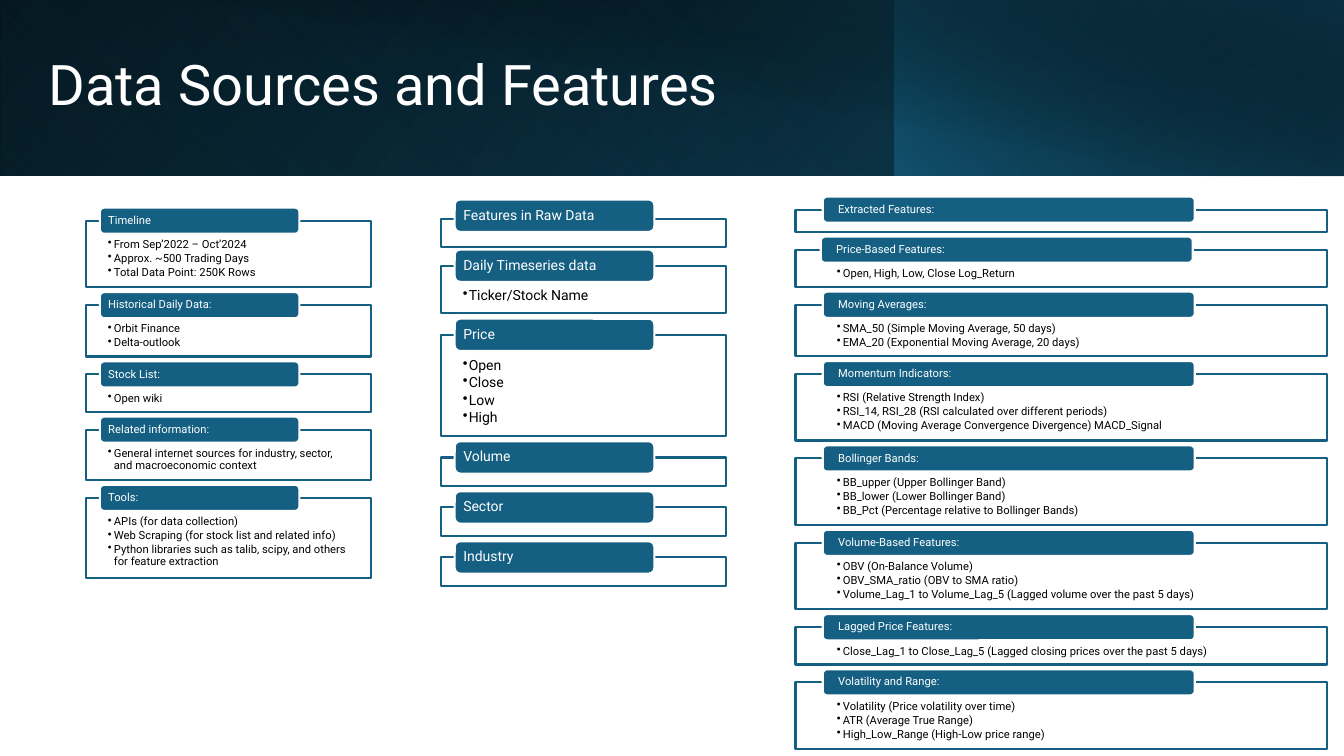
"""Build the slide on data sources and features."""
from dataclasses import dataclass

from lxml import etree
from pptx import Presentation
from pptx.dml.color import RGBColor
from pptx.enum.shapes import MSO_SHAPE
from pptx.enum.text import MSO_ANCHOR, MSO_AUTO_SIZE, PP_ALIGN
from pptx.oxml import parse_xml
from pptx.oxml.ns import nsdecls, qn
from pptx.util import Pt

RECT, ROUNDED = MSO_SHAPE.RECTANGLE, MSO_SHAPE.ROUNDED_RECTANGLE
TOP, MIDDLE = MSO_ANCHOR.TOP, MSO_ANCHOR.MIDDLE
LEFT = PP_ALIGN.LEFT
NO_FIT = MSO_AUTO_SIZE.NONE
EMU_PER_PX = 9144
FONT = "Roboto"
WHITE = RGBColor(0xFF, 0xFF, 0xFF)
BLACK = RGBColor(0x00, 0x00, 0x00)
TEAL = RGBColor(0x15, 0x60, 0x82)
NAVY = RGBColor(0x0B, 0x30, 0x41)
OCEAN = RGBColor(0x10, 0x48, 0x62)


@dataclass(frozen=True)
class Stop:
    """A gradient stop, with position and opacity in percent."""
    position: int
    color: RGBColor
    opacity: int = 100


@dataclass(frozen=True)
class Band:
    """A gradient layer of the header."""
    left: int
    width: int
    height: int
    angle: int
    stops: tuple[Stop, ...]
    flipped: bool = True
    rotation: int = 0


@dataclass(frozen=True)
class Card:
    """A label on a framed list, with small shifts from the column's grid."""
    label: str
    height: int
    items: tuple[str, ...] = ()
    frame_drop: int = 0
    label_shift: int = 0


@dataclass(frozen=True)
class Column:
    """A stack of cards spread evenly between top and bottom."""
    left: int
    width: int
    top: int
    bottom: int
    size: int
    label_left: int
    label_width: int
    label_height: int
    label_inset: int
    list_inset: int
    list_top: int
    list_bottom: int
    cards: tuple[Card, ...]


BANDS = (
    Band(0, 1333, 174, 140, (Stop(0, BLACK), Stop(100, OCEAN))),
    Band(0, 888, 174, 230, (Stop(20, TEAL, 0), Stop(100, NAVY, 55)), rotation=180),
    Band(887, 446, 174, 220, (Stop(0, TEAL, 66), Stop(100, BLACK, 30))),
    Band(50, 1283, 175, 280, (Stop(50, BLACK, 0), Stop(99, NAVY, 52)), flipped=False),
)

COLUMNS = (
    Column(437, 283, 214, 581, 10, 451, 198, 32, 7, 22, 23, 8, (
        Card("Features in Raw Data", 28, frame_drop=3),
        Card("Daily Timeseries data", 47, ("Ticker/Stock Name",)),
        Card("Price", 100, ("Open", "Close", "Low", "High")),
        Card("Volume", 28),
        Card("Sector", 28),
        Card("Industry", 28),
    )),
    Column(789, 527, 208, 743, 8, 816, 369, 26, 14, 41, 18, 6, (
        Card("Extracted Features:", 22),
        Card("Price-Based Features:", 37, ("Open, High, Low, Close Log_Return",),
             label_shift=-2),
        Card("Moving Averages:", 51, (
            "SMA_50 (Simple Moving Average, 50 days)",
            "EMA_20 (Exponential Moving Average, 20 days)")),
        Card("Momentum Indicators:", 66, (
            "RSI (Relative Strength Index)",
            "RSI_14, RSI_28 (RSI calculated over different periods)",
            "MACD (Moving Average Convergence Divergence) MACD_Signal")),
        Card("Bollinger Bands:", 66, (
            "BB_upper (Upper Bollinger Band)",
            "BB_lower (Lower Bollinger Band)",
            "BB_Pct (Percentage relative to Bollinger Bands)")),
        Card("Volume-Based Features:", 66, (
            "OBV (On-Balance Volume)",
            "OBV_SMA_ratio (OBV to SMA ratio)",
            "Volume_Lag_1 to Volume_Lag_5 (Lagged volume over the past 5 days)")),
        Card("Lagged Price Features:", 37, (
            "Close_Lag_1 to Close_Lag_5 (Lagged closing prices over the past 5 days)",)),
        Card("Volatility and Range:", 66, (
            "Volatility (Price volatility over time)",
            "ATR (Average True Range)",
            "High_Low_Range (High-Low price range)")),
    )),
    Column(85, 283, 219, 573, 8, 99, 198, 26, 7, 22, 18, 6, (
        Card("Timeline", 66, (
            "From Sep’2022 – Oct’2024",
            "Approx. ~500 Trading Days",
            "Total Data Point: 250K Rows")),
        Card("Historical Daily Data:", 51, ("Orbit Finance", "Delta-outlook")),
        Card("Stock List:", 37, ("Open wiki",)),
        Card("Related information:", 50, (
            "General internet sources for industry, sector, and macroeconomic context",)),
        Card("Tools:", 79, (
            "APIs (for data collection)",
            "Web Scraping (for stock list and related info)",
            "Python libraries such as talib, scipy, and others for feature extraction")),
    )),
)


def px(length: float) -> int:
    """Turn px into EMU."""
    return round(length * EMU_PER_PX)


def apply(target, values: dict) -> None:
    """Set each attribute of the target from a dict."""
    for name, value in values.items():
        setattr(target, name, value)


def add_box(page, kind, left: float, top: float, width: float, height: float):
    """Add a preset shape without a shadow."""
    box = page.shapes.add_shape(kind, px(left), px(top), px(width), px(height))
    box.shadow.inherit = False
    return box


def paint(box, fill: RGBColor, line: RGBColor) -> None:
    """Give a box a solid fill and a 1.5 pt line."""
    box.fill.solid()
    box.fill.fore_color.rgb = fill
    box.line.color.rgb = line
    box.line.width = Pt(1.5)


def write(box, lines: tuple[str, ...], size: int, color: RGBColor, bulleted: bool = False) -> None:
    """Write one paragraph per line of text."""
    frame = box.text_frame
    for index, text in enumerate(lines):
        para = frame.paragraphs[0] if index == 0 else frame.add_paragraph()
        apply(para, {"alignment": LEFT, "line_spacing": 0.9})
        if bulleted:
            apply(para, {"level": 1, "space_after": Pt(size * 0.17)})
            properties = para._p.get_or_add_pPr()
            apply_indent = {"marL": px(6), "indent": -px(6)}
            for name, value in apply_indent.items():
                properties.set(name, str(value))
            etree.SubElement(properties, qn("a:buChar")).set("char", "•")
        span = para.add_run()
        span.text = text
        apply(span.font, {"name": FONT, "size": Pt(size)})
        span.font.color.rgb = color


def draw_band(page, band: Band) -> None:
    """Draw one gradient layer of the header."""
    box = add_box(page, RECT, band.left, 0, band.width, band.height)
    box.rotation = band.rotation
    box.line.fill.background()
    box.fill.background()
    properties = box._element.spPr
    if band.flipped:
        properties.find(qn("a:xfrm")).set("flipH", "1")
    stops = "".join(
        f'<a:gs pos="{stop.position * 1000}"><a:srgbClr val="{stop.color}">'
        f'<a:alpha val="{stop.opacity * 1000}"/></a:srgbClr></a:gs>' for stop in band.stops)
    gradient = parse_xml(
        f'<a:gradFill {nsdecls("a")} rotWithShape="1"><a:gsLst>{stops}</a:gsLst>'
        f'<a:lin ang="{band.angle * 60000}" scaled="0"/></a:gradFill>')
    properties.replace(properties.find(qn("a:noFill")), gradient)


def draw_card(page, column: Column, card: Card, top: float) -> None:
    """Draw a framed list with its label across the upper edge."""
    frame = add_box(page, RECT, column.left, top + card.frame_drop, column.width, card.height)
    paint(frame, WHITE, TEAL)
    color = frame._element.spPr.find(qn("a:solidFill"))[0]
    etree.SubElement(color, qn("a:alpha")).set("val", "90000")
    apply(frame.text_frame, {
        "word_wrap": True, "vertical_anchor": TOP,
        "margin_left": px(column.list_inset), "margin_right": px(column.list_inset),
        "margin_top": px(column.list_top), "margin_bottom": px(column.list_bottom)})
    write(frame, card.items, column.size, BLACK, bulleted=True)
    label = add_box(page, ROUNDED, column.label_left + card.label_shift,
                    top - column.label_height / 2, column.label_width, column.label_height)
    paint(label, TEAL, WHITE)
    apply(label.text_frame, {
        "word_wrap": True, "vertical_anchor": MIDDLE,
        "margin_left": px(column.label_inset), "margin_right": px(column.label_inset),
        "margin_top": 0, "margin_bottom": 0})
    write(label, (card.label,), column.size, WHITE)


def draw_column(page, column: Column) -> None:
    """Stack the cards of a column with equal gaps."""
    free = column.bottom - column.top - sum(card.height for card in column.cards)
    gap = free / (len(column.cards) - 1)
    top = column.top
    for card in column.cards:
        draw_card(page, column, card, top)
        top += card.height + gap


def draw_title(page) -> None:
    """Place the title above the header layers."""
    title = page.shapes.title
    page.shapes._spTree.append(title._element)
    apply(title, {"left": px(38), "top": px(30), "width": px(1082), "height": px(113)})
    apply(title.text_frame, {"word_wrap": True, "vertical_anchor": MIDDLE, "auto_size": NO_FIT})
    write(title, ("Data Sources and Features",), 40, WHITE)


def main() -> None:
    """Build and save the deck."""
    deck = Presentation()
    apply(deck, {"slide_width": px(1333), "slide_height": px(750)})
    page = deck.slides.add_slide(deck.slide_layouts[5])
    for band in BANDS:
        draw_band(page, band)
    draw_title(page)
    for column in COLUMNS:
        draw_column(page, column)
    deck.save("out.pptx")


if __name__ == "__main__":
    main()
